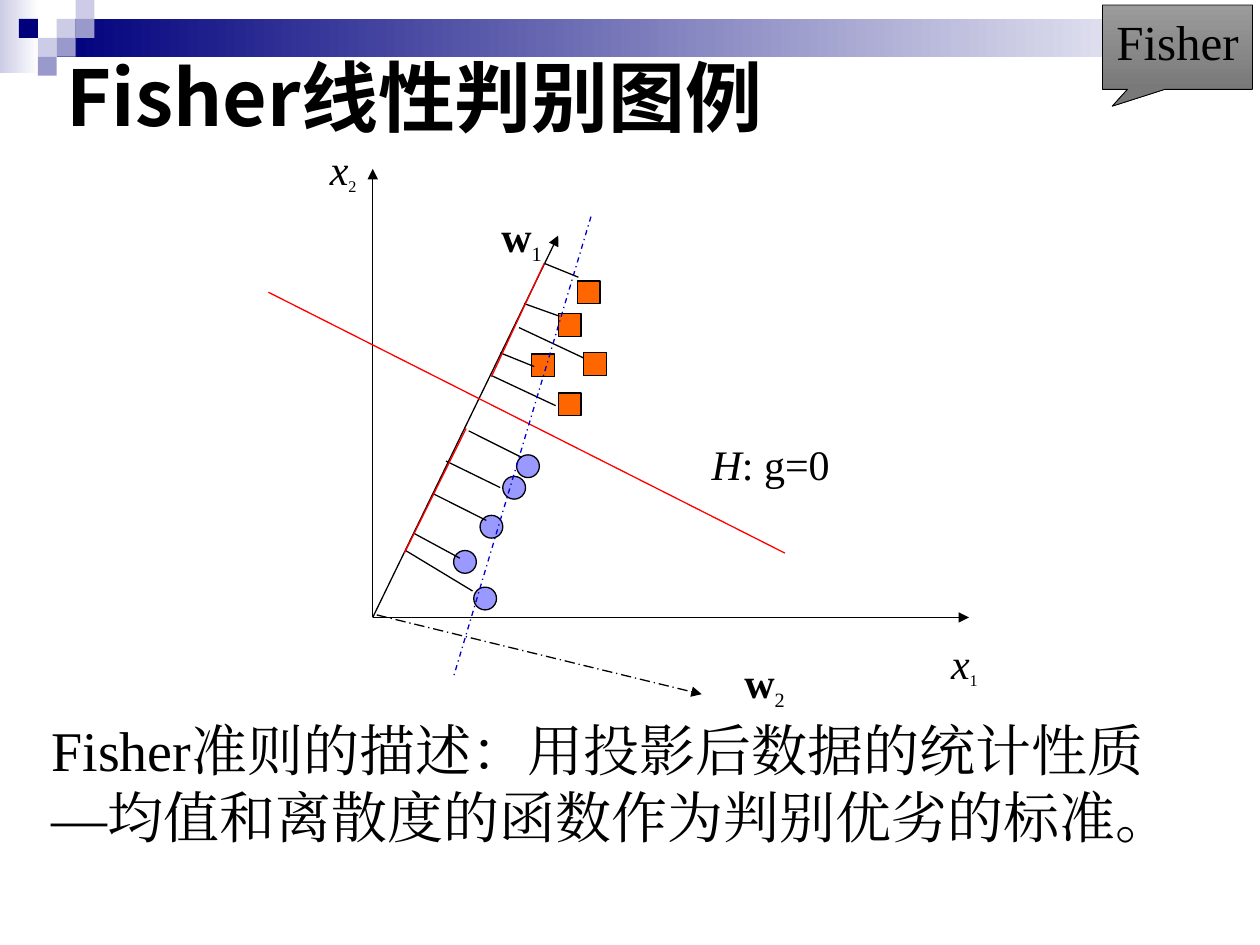
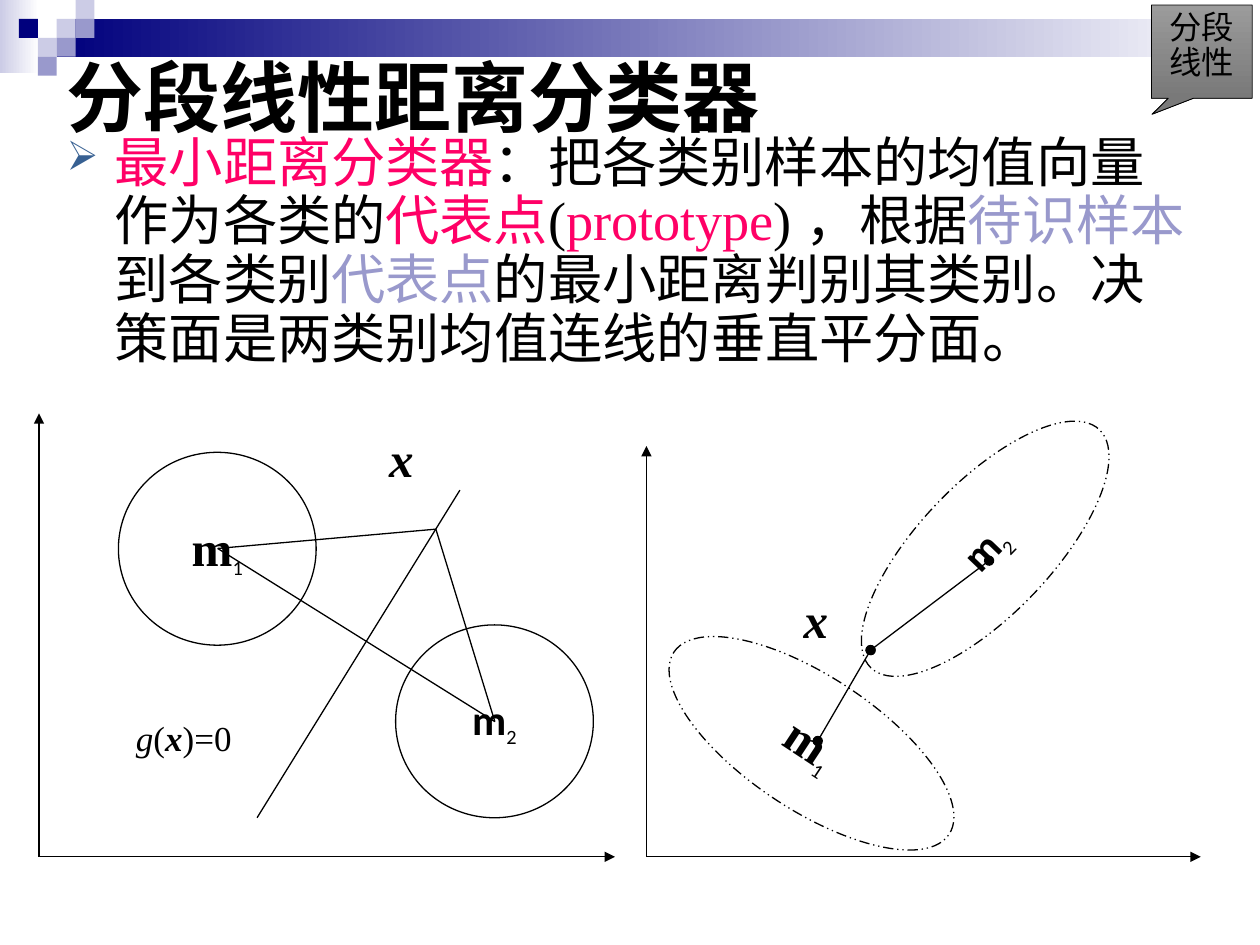
import lxml.etree
import pptx
import pptx.dml.color
import pptx.enum.dml
import pptx.enum.shapes
import pptx.enum.text
import pptx.oxml.ns
import pptx.util

Pt = pptx.util.Pt
SHAPE = pptx.enum.shapes.MSO_SHAPE
DASH = pptx.enum.dml.MSO_LINE
ANCHOR = pptx.enum.text.MSO_ANCHOR
ALIGN = pptx.enum.text.PP_ALIGN

BLACK, RED, PINK = "000000", "FF0000", "FF0066"
NAVY, LILAC, PALE, WHITE = "00007D", "9999CC", "CCCCE6", "FFFFFF"
ORANGE, VIOLET, BLUE, STEEL = "FF6600", "9999FF", "0000CC", "376092"
SERIF, SANS, CJK, CALIBRI = "Times New Roman", "Arial", "Noto Sans CJK SC", "Calibri"
CELL = 10.8
MARK = 13

VAR = {"name": SERIF, "size": 24, "italic": True}
VECTOR = {"name": SERIF, "size": 24, "bold": True}
POINT = {"name": SERIF, "size": 28, "bold": True, "italic": True}
MEAN_1 = [("m", {"name": SERIF, "size": 28, "bold": True}),
          ("1", {"name": CALIBRI, "size": 20, "sub": True})]
MEAN_2 = [("m", {"name": CALIBRI, "size": 24, "bold": True}),
          ("2", {"name": CALIBRI, "size": 20, "sub": True})]


def rgb(value):
    """Turn a hex string into a colour."""
    return pptx.dml.color.RGBColor.from_string(value)


def add_xml(parent, tag, **attrs):
    """Append a DrawingML element."""
    return lxml.etree.SubElement(parent, pptx.oxml.ns.qn(tag), attrs)


def format_run(r, fmt):
    """Apply a dict of format values to a run."""
    fmt = {"color": BLACK, **fmt}
    r.font.color.rgb = rgb(fmt.pop("color"))
    fmt["size"] = Pt(fmt["size"])
    rPr = r._r.get_or_add_rPr()
    if fmt.pop("sub", False):
        rPr.set("baseline", "-25000")
    for key, value in fmt.items():
        setattr(r.font, key, value)
    add_xml(rPr, "a:ea", typeface=fmt["name"])


def write(tf, runs, wrap=True, anchor=ANCHOR.TOP, bullet=None, **para):
    """Fill a text frame with one paragraph of formatted runs."""
    tf.word_wrap = wrap
    tf.vertical_anchor = anchor
    p = tf.paragraphs[0]
    if bullet:
        pPr = p._p.get_or_add_pPr()
        pPr.set("marL", str(Pt(27.4)))
        pPr.set("indent", str(-Pt(27.4)))
        add_xml(add_xml(pPr, "a:buClr"), "a:srgbClr", val=STEEL)
        add_xml(pPr, "a:buSzPct", val="75000")
        add_xml(pPr, "a:buChar", char=bullet)
    for key, value in para.items():
        setattr(p, key, value)
    for text, fmt in runs:
        for i, part in enumerate(text.split("\n")):
            if i:
                p.add_line_break()
            r = p.add_run()
            r.text = part
            format_run(r, fmt)


def add_text(s, box, runs, **options):
    """Add a text box."""
    sp = s.shapes.add_textbox(*map(Pt, box))
    write(sp.text_frame, runs, **options)


def add_symbol(s, x, y, letter, index, fmt, size):
    """Add a letter with a subscript."""
    sub = {"name": SERIF, "size": size, "sub": True}
    add_text(s, (x, y, 42, 38), [(letter, fmt), (index, sub)])


def set_gradient(fill, start, end, angle):
    """Give a fill a two-colour gradient."""
    fill.gradient()
    fill.gradient_angle = angle
    for stop, value, position in zip(fill.gradient_stops, (start, end), (0, 1)):
        stop.color.rgb = rgb(value)
        stop.position = position


def add_shape(s, kind, box, fill=None, width=0.75, gradient=None, dash=None):
    """Add a preset shape; zero width means no outline."""
    sp = s.shapes.add_shape(kind, *map(Pt, box))
    sp.shadow.inherit = False
    if gradient:
        set_gradient(sp.fill, *gradient)
    elif fill:
        sp.fill.solid()
        sp.fill.fore_color.rgb = rgb(fill)
    else:
        sp.fill.background()
    if width:
        sp.line.color.rgb = rgb(BLACK)
        sp.line.width = Pt(width)
        sp.line.dash_style = dash
    else:
        sp.line.fill.background()
    return sp


def add_line(s, start, end, color=BLACK, dash=None, head=None, tail=None):
    """Add a straight line with optional ends."""
    line = s.shapes.add_connector(
        pptx.enum.shapes.MSO_CONNECTOR.STRAIGHT, *map(Pt, (*start, *end)))
    line.line.color.rgb = rgb(color)
    line.line.width = Pt(0.75)
    line.line.dash_style = dash
    ln = line.line._get_or_add_ln()
    for tag, kind in (("a:headEnd", head), ("a:tailEnd", tail)):
        if kind:
            add_xml(ln, tag, type=kind)
    add_xml(line._element.spPr, "a:effectLst")


def add_axes(s, x, y, right, top):
    """Add a pair of axes from their origin."""
    for end in ((right, y), (x, top)):
        add_line(s, (x, y), end, tail="triangle")


def add_callout(s, box, adjust, text, fmt, **para):
    """Add the grey corner callout."""
    sp = add_shape(s, SHAPE.RECTANGULAR_CALLOUT, box, width=0.5,
                   gradient=("9B9B9B", "797979", 270))
    for i, value in enumerate(adjust):
        sp.adjustments[i] = value
    write(sp.text_frame, [(text, fmt)], alignment=ALIGN.CENTER, **para)


def add_mean(s, box, runs, rotation=0, dash=None):
    """Add a class outline labelled with its mean."""
    sp = add_shape(s, SHAPE.OVAL, box, dash=dash)
    sp.rotation = rotation
    write(sp.text_frame, runs, wrap=False, anchor=ANCHOR.MIDDLE,
          alignment=ALIGN.CENTER)


def add_page(prs, title, font):
    """Add a slide with the corner mosaic, band and title."""
    s = prs.slides.add_slide(prs.slide_layouts[6])
    for box, color in (((0, 0, 22.3, 41.8), PALE), ((32.4, 10.8, 687.6, 21.6), NAVY)):
        add_shape(s, SHAPE.RECTANGLE, box, width=0, gradient=(color, WHITE, 0))
    for col, row, color in ((3, 1, PALE), (4, 0, PALE), (4, 1, LILAC), (2, 2, PALE),
                            (1, 1, NAVY), (3, 2, LILAC), (2, 3, LILAC)):
        add_shape(s, SHAPE.RECTANGLE, (col * CELL, row * CELL, CELL, CELL), color, 0)
    add_text(s, (31, 15, 560, 80), [(title, {"name": font, "size": 44, "bold": True})],
             anchor=ANCHOR.MIDDLE)
    return s


def build_fisher(prs):
    """Build the Fisher discriminant slide."""
    s = add_page(prs, "Fisher线性判别图例", CJK)
    origin = (213, 352.8)
    add_axes(s, *origin, 553.7, 96.5)
    add_line(s, origin, (319, 134.6), tail="triangle")
    add_line(s, (153.4, 167), (448.6, 316.1), RED)
    add_symbol(s, 536.4, 360.7, "x", "1", VAR, 16)
    add_symbol(s, 181.4, 78.5, "x", "2", VAR, 16)
    add_symbol(s, 279.4, 116.6, "w", "1", VECTOR, 20)
    add_text(s, (399.6, 247, 100, 36),
             [("H", VAR), (": g=0", {"name": SERIF, "size": 24})])
    samples = (
        (SHAPE.OVAL, VIOLET, ((270.7, 335.5), (259.2, 314.6), (274.3, 294.5),
                              (287.3, 272.2), (295.2, 259.9))),
        (SHAPE.RECTANGLE, ORANGE, ((319, 179.3), (333.4, 201.6), (319, 224.6),
                                   (303.8, 202.3), (329.8, 160.6))),
    )
    for kind, color, places in samples:
        for x, y in places:
            add_shape(s, kind, (x, y, MARK, MARK), color)
    projections = (
        ((262.8, 319), (236.2, 304.6)), ((277.9, 297.4), (247.7, 282.2)),
        ((285.8, 278.6), (254.9, 263.5)), ((270, 337.7), (231.8, 314.6)),
        ((298.1, 261.4), (267.8, 246.2)), ((330.5, 158.4), (311, 150.5)),
        ((319.7, 180.7), (299.5, 173.5)), ((305.3, 209.5), (285.8, 201.6)),
        ((317.5, 231.8), (280.8, 214.6)), ((333.4, 204.5), (296.6, 187.2)),
    )
    for sample, foot in projections:
        add_line(s, sample, foot)
    add_line(s, (231.1, 316.1), (266.4, 244.8), RED)
    add_line(s, (280.8, 215.3), (311, 150.5), RED)
    add_line(s, (215.3, 351.4), (401, 396.7), dash=DASH.LONG_DASH_DOT, tail="triangle")
    add_line(s, (337.7, 123.8), (259.2, 386.6), BLUE, DASH.DASH_DOT)
    add_symbol(s, 418.3, 371.5, "w", "2", VECTOR, 20)
    add_text(s, (22.3, 405.4, 680.4, 84.2),
             [("Fisher准则的描述：用投影后数据的统计性质\n—均值和离散度的函数作为判别优劣的标准。",
               {"name": SERIF, "size": 32})], line_spacing=Pt(38.4))
    add_callout(s, (630, 2.9, 85.7, 48.2), (-0.435, 0.7), "Fisher",
                {"name": SERIF, "size": 28})


def build_piecewise(prs):
    """Build the piecewise linear distance classifier slide."""
    s = add_page(prs, "分段线性距离分类器", SANS)
    pieces = (
        ("最小距离分类器", PINK, SANS), ("：把各类别样本的均值向量作为各类的", BLACK, SANS),
        ("代表点", PINK, SANS), ("(", BLACK, SERIF), ("prototype", PINK, SERIF),
        (") ", BLACK, SERIF), ("，根据", BLACK, SANS), ("待识样本", LILAC, SANS),
        ("到各类别", BLACK, SANS), ("代表点", LILAC, SANS),
        ("的最小距离判别其类别。决策面是两类别均值连线的垂直平分面。", BLACK, SANS),
    )
    runs = [(text, {"name": font, "size": 31, "color": color})
            for text, color, font in pieces]
    add_text(s, (31, 73.4, 658, 152), runs, bullet="➢", line_spacing=Pt(33.5))
    add_callout(s, (658, 2.9, 57.6, 53.3), (-0.494, 0.672), "分段\n线性",
                {"name": CALIBRI, "size": 18.5}, line_spacing=Pt(20))

    add_axes(s, 22.3, 489.6, 351.4, 236.2)
    add_mean(s, (67.7, 258.5, 113, 110.2), MEAN_1)
    add_mean(s, (226.1, 357.1, 113, 110.2), MEAN_2)
    mean_1, mean_2, x = (124.4, 313.4), (282.8, 412.4), (249.1, 302.4)
    add_line(s, mean_1, mean_2)
    add_line(s, (262.8, 280.1), (146.9, 467.3))
    add_line(s, mean_1, x)
    add_line(s, x, mean_2)
    add_text(s, (215.3, 241.2, 45, 41), [("x", POINT)])
    plain = {"name": SERIF, "size": 20}
    add_text(s, (70.6, 406.1, 147.6, 31.7),
             [("g", {**plain, "italic": True}), ("(", plain),
              ("x", {**plain, "bold": True, "italic": True}), (")=0", plain)])

    add_axes(s, 369.4, 489.6, 686.2, 254.9)
    add_mean(s, (369.4, 386.6, 188.6, 76.3), MEAN_1, 33.5, DASH.DASH_DOT_DOT)
    add_mean(s, (468.7, 275.8, 188.6, 75.6), MEAN_2, 313.8, DASH.DASH_DOT_DOT)
    for mean in ((467.3, 423.4), (565.2, 320.4)):
        add_line(s, (497.5, 371.5), mean, head="oval", tail="oval")
    add_text(s, (452.2, 333.4, 45, 41), [("x", POINT)])


def main():
    """Build and save both slides."""
    prs = pptx.Presentation()
    prs.slide_width, prs.slide_height = Pt(720), Pt(540)
    build_fisher(prs)
    build_piecewise(prs)
    prs.save("out.pptx")


if __name__ == "__main__":
    main()
